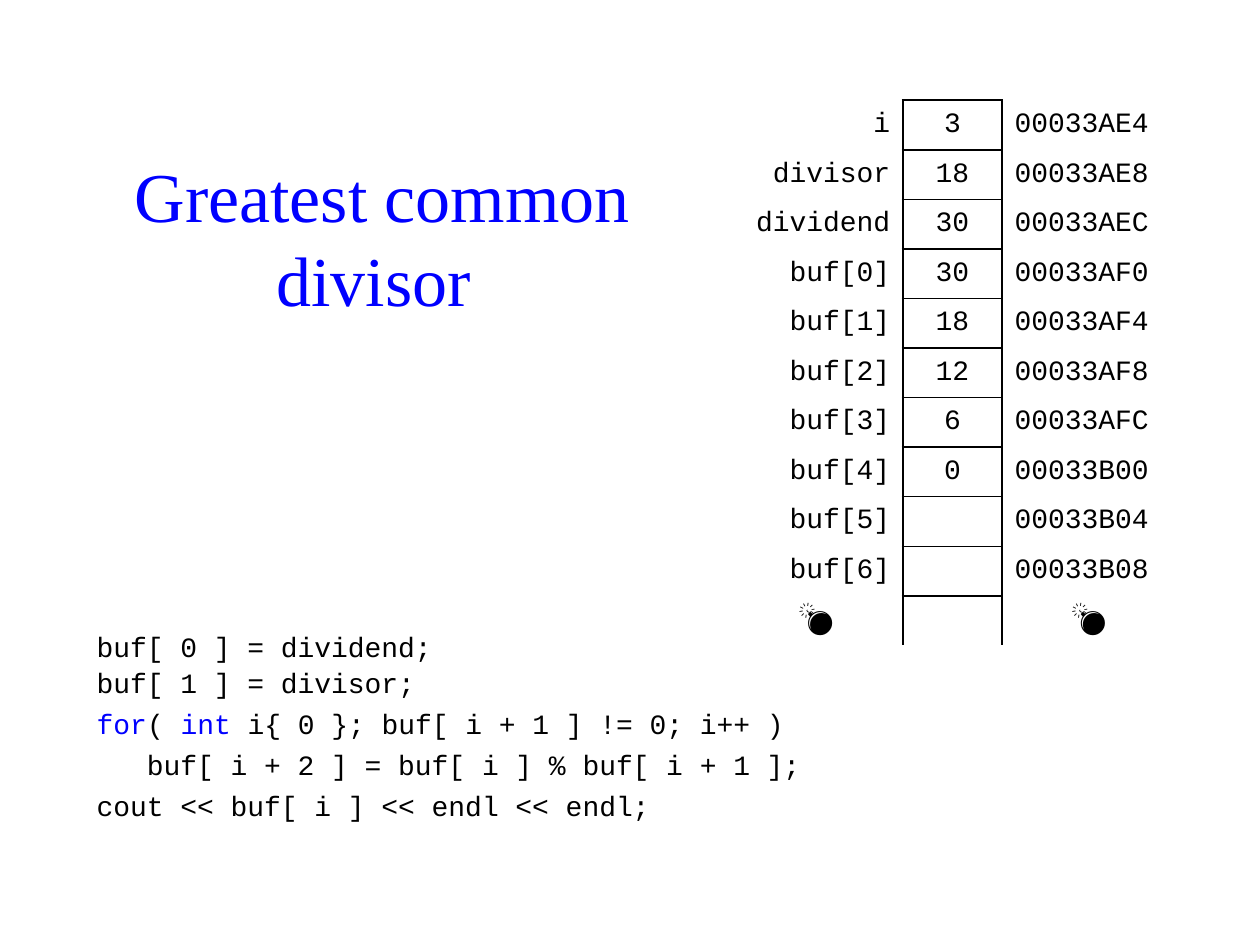
from lxml.etree import SubElement
from pptx import Presentation
from pptx.dml.color import RGBColor
from pptx.enum.text import MSO_ANCHOR, PP_ALIGN
from pptx.oxml.ns import qn
from pptx.util import Pt

BLACK = RGBColor(0x00, 0x00, 0x00)
BLUE = RGBColor(0x00, 0x00, 0xFF)
SERIF = "Times New Roman"
MONO = "Courier New"
BOMB = "💣"
SIDES = {"left": "a:lnL", "right": "a:lnR", "top": "a:lnT", "bottom": "a:lnB"}
MEMORY = [
    ("i", "3", "00033AE4"),
    ("divisor", "18", "00033AE8"),
    ("dividend", "30", "00033AEC"),
    ("buf[0]", "30", "00033AF0"),
    ("buf[1]", "18", "00033AF4"),
    ("buf[2]", "12", "00033AF8"),
    ("buf[3]", "6", "00033AFC"),
    ("buf[4]", "0", "00033B00"),
    ("buf[5]", "", "00033B04"),
    ("buf[6]", "", "00033B08"),
    (BOMB, "", BOMB),
]
CODE = [
    [("buf[ 0 ] = dividend;", BLACK)],
    [("buf[ 1 ] = divisor;", BLACK)],
    [("for", BLUE), ("( ", BLACK), ("int", BLUE),
     (" i{ 0 }; buf[ i + 1 ] != 0; i++ )", BLACK)],
    [("   buf[ i + 2 ] = buf[ i ] % buf[ i + 1 ];", BLACK)],
    [("cout << buf[ i ] << endl << endl;", BLACK)],
]


def style(run, name, size, color, bold=False):
    """Set the typeface, size, colour and weight of a run."""
    font = run.font
    font.name, font.size, font.bold = name, Pt(size), bold
    font.color.rgb = color


def add_title(slide, left, top, width, height):
    """Place the slide title in the given box."""
    title = slide.shapes.add_textbox(Pt(left), Pt(top), Pt(width), Pt(height))
    frame = title.text_frame
    frame.word_wrap = True
    frame.vertical_anchor = MSO_ANCHOR.MIDDLE
    frame.text = "Greatest common divisor "
    heading = frame.paragraphs[0]
    heading.alignment = PP_ALIGN.CENTER
    style(heading.runs[0], SERIF, 40, BLUE)


def add_code(slide, left, top, width, height):
    """Place the code listing in the given box."""
    listing = slide.shapes.add_textbox(Pt(left), Pt(top), Pt(width), Pt(height))
    frame = listing.text_frame
    frame.word_wrap = True
    for number, pieces in enumerate(CODE):
        line = frame.add_paragraph() if number else frame.paragraphs[0]
        line.line_spacing = 1.06
        line.space_before = Pt(3.2 if number > 1 else 0)
        for words, color in pieces:
            run = line.add_run()
            run.text = words
            style(run, MONO, 16, color)


def set_borders(cell, widths):
    """Draw the cell sides that have a width and hide the others."""
    properties = cell._tc.get_or_add_tcPr()
    for side, tag in SIDES.items():
        border = SubElement(properties, qn(tag))
        if side in widths:
            border.set("w", str(Pt(widths[side])))
            fill = SubElement(border, qn("a:solidFill"))
            SubElement(fill, qn("a:srgbClr")).set("val", str(BLACK))
        else:
            SubElement(border, qn("a:noFill"))


def fill_cell(cell, words, alignment):
    """Write one memory entry into its cell."""
    cell.fill.background()
    cell.vertical_anchor = MSO_ANCHOR.MIDDLE
    is_bomb = words == BOMB
    padding = Pt(2.88 if words and not is_bomb else 0)
    cell.margin_top = cell.margin_bottom = padding
    entry = cell.text_frame.paragraphs[0]
    entry.alignment = PP_ALIGN.CENTER if is_bomb else alignment
    if words:
        entry.text = words
        style(entry.runs[0], MONO, 20 if is_bomb else 16, BLACK, is_bomb)


def add_memory(slide, left, top, width, height):
    """Place the memory table of names, values and addresses in the given box."""
    last = len(MEMORY) - 1
    memory = slide.shapes.add_table(
        len(MEMORY), 3, Pt(left), Pt(top), Pt(width), Pt(height)).table
    memory.first_row = memory.horz_banding = False
    value_width = 56.7
    side_width = (width - value_width) / 2
    for column, size in zip(memory.columns, (side_width, value_width, side_width)):
        column.width = Pt(size)
    alignments = (PP_ALIGN.RIGHT, PP_ALIGN.CENTER, PP_ALIGN.LEFT)
    for index, entries in enumerate(MEMORY):
        memory.rows[index].height = Pt(height / len(MEMORY))
        value_borders = {"left": 1.5, "right": 1.5, "top": 1 if index else 1.5}
        if index < last:
            value_borders["bottom"] = 1
        borders = ({"right": 1.5}, value_borders, {"left": 1.5})
        for column, words in enumerate(entries):
            cell = memory.cell(index, column)
            set_borders(cell, borders[column])
            fill_cell(cell, words, alignments[column])


def main():
    """Build the slide and save it."""
    deck = Presentation()
    deck.slide_width, deck.slide_height = Pt(720), Pt(540)
    slide = deck.slides.add_slide(deck.slide_layouts[6])
    add_title(slide, 48.2, 85.7, 340.6, 99.4)
    add_code(slide, 48.2, 355, 425.5, 113.8)
    add_memory(slide, 416.7, 57.3, 255.1, 311.8)
    deck.save("out.pptx")


if __name__ == "__main__":
    main()
